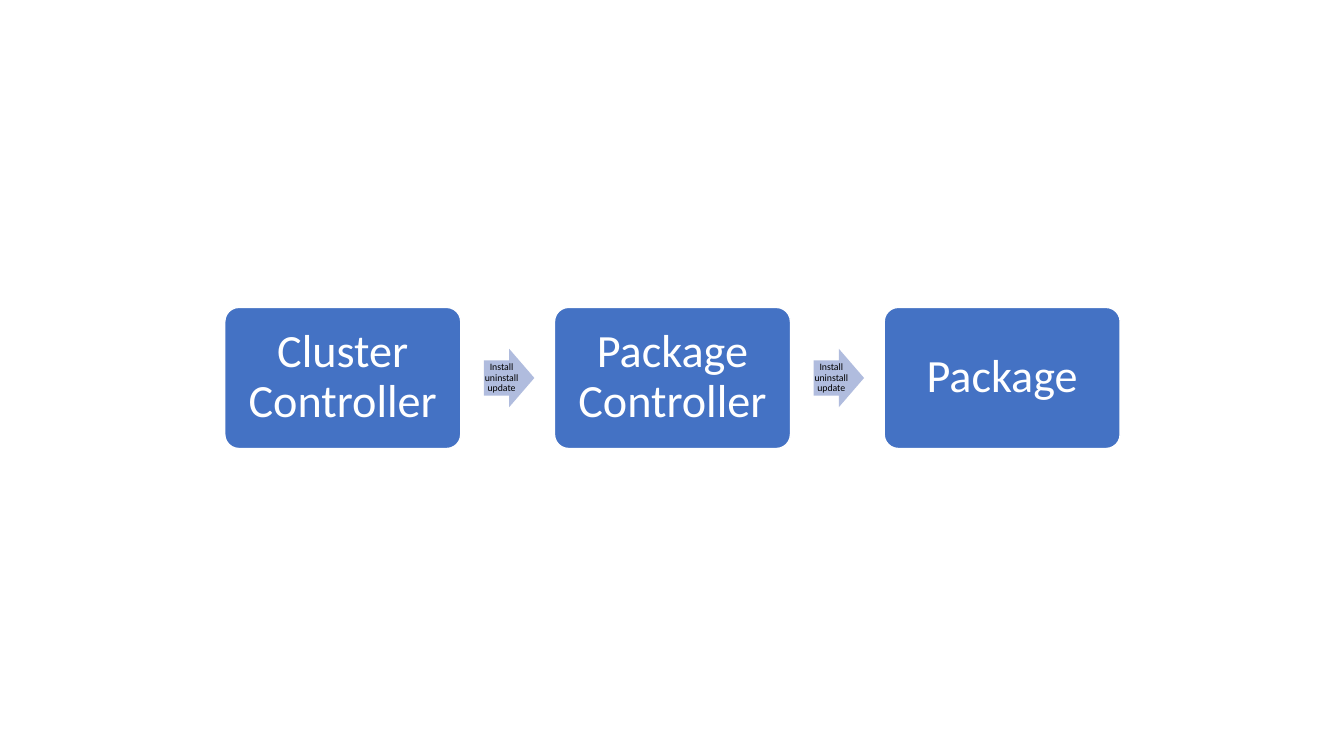
import pptx
import pptx.util
import pptx.dml.color
import pptx.enum.shapes
import pptx.enum.text
from dataclasses import dataclass

Kind = pptx.enum.shapes.MSO_SHAPE


@dataclass
class Theme:
    font: str = "Calibri"
    box: str = "4472C4"
    edge: str = "FFFFFF"
    arrow: str = "B0BCDE"
    light: str = "FFFFFF"
    dark: str = "000000"
    large: int = 33
    small: int = 7
    line: int = 1
    unit: float = 0.1


def tint(code):
    return pptx.dml.color.RGBColor.from_string(code)


def assign(item, form):
    for key, value in form.items():
        setattr(item, key, value)


class Board:
    def __init__(self, slide, theme):
        self.slide = slide
        self.theme = theme

    def span(self, cells):
        return pptx.util.Inches(cells * self.theme.unit)

    def shape(self, kind, left, mid, wide, high, bends, fill):
        area = [self.span(n) for n in (left, mid - high / 2, wide, high)]
        item = self.slide.shapes.add_shape(kind, *area)
        item.shadow.inherit = False
        for spot, bend in enumerate(bends):
            item.adjustments[spot] = bend
        item.fill.solid()
        item.fill.fore_color.rgb = tint(fill)
        return item

    def label(self, item, text, size, color, inset):
        frame = item.text_frame
        sides = ("left", "right", "top", "bottom")
        assign(frame, {f"margin_{side}": self.span(inset) for side in sides})
        assign(frame, {"word_wrap": True,
                       "vertical_anchor": pptx.enum.text.MSO_ANCHOR.MIDDLE})
        para = frame.paragraphs[0]
        assign(para, {"alignment": pptx.enum.text.PP_ALIGN.CENTER,
                      "line_spacing": 0.9})
        run = para.add_run()
        run.text = text
        assign(run.font, {"name": self.theme.font,
                          "size": pptx.util.Pt(size)})
        run.font.color.rgb = tint(color)

    def box(self, text, left, mid):
        theme = self.theme
        item = self.shape(Kind.ROUNDED_RECTANGLE, left, mid, 23.4, 14,
                          [0.1], theme.box)
        item.line.color.rgb = tint(theme.edge)
        item.line.width = pptx.util.Pt(theme.line)
        self.label(item, text, theme.large, theme.light, 1.4)

    def arrow(self, text, left, mid):
        theme = self.theme
        item = self.shape(Kind.RIGHT_ARROW, left, mid, 5, 5.8,
                          [0.6, 0.5], theme.arrow)
        item.line.fill.background()
        self.label(item, text, theme.small, theme.dark, 0)


deck = pptx.Presentation()
assign(deck, {"slide_width": pptx.util.Inches(13.33),
              "slide_height": pptx.util.Inches(7.5)})
board = Board(deck.slides.add_slide(deck.slide_layouts[6]), Theme())

START, PITCH, OFFSET, MIDDLE = 22.3, 32.7, 25.7, 37.5
steps = ["Cluster Controller", "Package Controller", "Package"]
for step, name in enumerate(steps):
    left = START + step * PITCH
    board.box(name, left, MIDDLE)
    if step < len(steps) - 1:
        board.arrow("Install uninstall update", left + OFFSET, MIDDLE)

deck.save("out.pptx")
